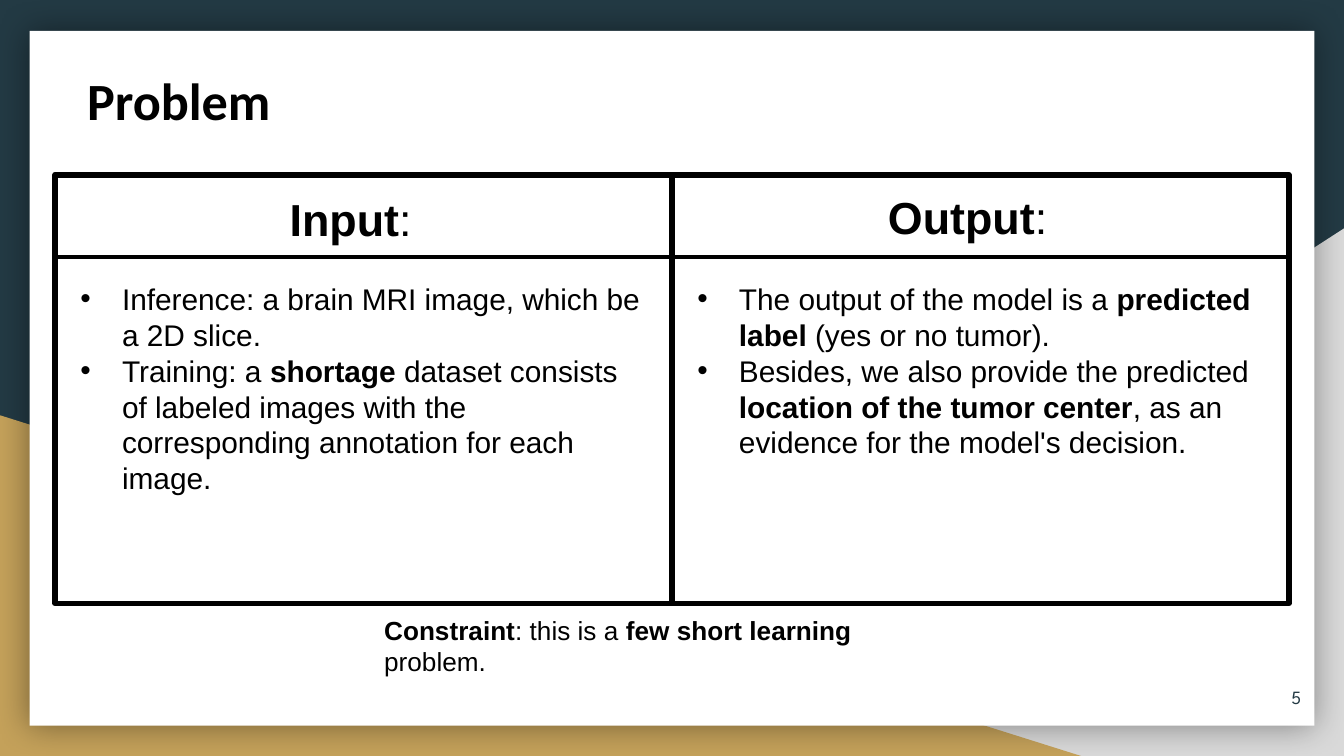
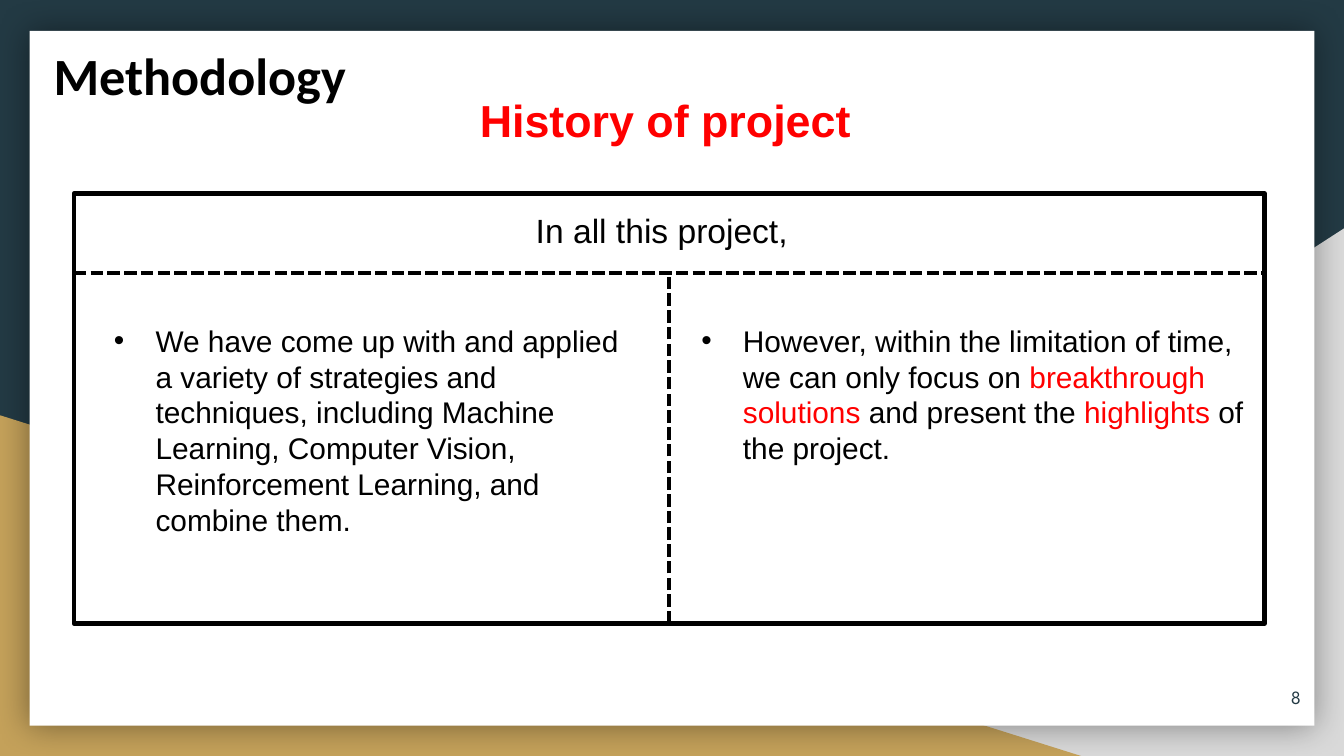
from dataclasses import dataclass

from lxml import etree
from pptx import Presentation
from pptx.dml.color import RGBColor
from pptx.enum.dml import MSO_LINE
from pptx.enum.shapes import MSO_CONNECTOR, MSO_SHAPE
from pptx.enum.text import MSO_ANCHOR, MSO_AUTO_SIZE, PP_ALIGN
from pptx.oxml.ns import qn
from pptx.util import Inches, Pt

RECT, TRI = MSO_SHAPE.RECTANGLE, MSO_SHAPE.RIGHT_TRIANGLE
LEFT, MID, RIGHT = PP_ALIGN.LEFT, PP_ALIGN.CENTER, PP_ALIGN.RIGHT
DASH = MSO_LINE.SQUARE_DOT
WIDE = Inches(10)
HIGH = WIDE * 9 // 16


@dataclass(frozen=True)
class Theme:
    navy: str = "233A44"
    gold: str = "C4A15A"
    gray: str = "D9D9D9"
    white: str = "FFFFFF"
    black: str = "000000"
    red: str = "FF0000"
    body: str = "Arial"
    title: str = "Calibri"
    number: str = "League Spartan"
    title_pt: int = 28
    head_pt: int = 24
    lead_pt: int = 18
    body_pt: int = 16
    note_pt: int = 14
    num_pt: int = 10
    thick: float = 3
    thin: float = 2.25


T = Theme()

# Content: a paragraph is a list of runs; a run is text or (text, mark)
PROBLEM = {
    "title": "Problem",
    "number": "5",
    "cols": [
        {"head": [("Input", "bold"), ":"], "top": 1.38, "room": 1.72,
         "points": [
            ["Inference: a brain MRI image, which be a 2D slice."],
            ["Training: a ", ("shortage", "bold"),
             " dataset consists of labeled images with the "
             "corresponding annotation for each image."]]},
        {"head": [("Output", "bold"), ":"], "top": 1.36, "room": 1.45,
         "points": [
            ["The output of the model is a ", ("predicted label", "bold"),
             " (yes or no tumor)."],
            ["Besides, we also provide the predicted ",
             ("location of the tumor center", "bold"),
             ", as an evidence for the model's decision."]]},
    ],
    "note": [("Constraint", "bold"), ": this is a ",
             ("few short learning", "bold"), " problem."],
}
METHOD = {
    "title": "Methodology",
    "number": "8",
    "head": [("History of project", "bold")],
    "lead": ["In all this project,"],
    "cols": [
        (0.75, 4.03, 1.72,
         ["We have come up with and applied a variety of strategies and "
          "techniques, including Machine Learning, Computer Vision, "
          "Reinforcement Learning, and combine them."]),
        (5.12, 4.27, 1.18,
         ["However, within the limitation of time, we can only focus on ",
          ("breakthrough solutions", "red"), " and present the ",
          ("highlights", "red"), " of the project."]),
    ],
}


def rgb(code):
    return RGBColor.from_string(code)


def add_block(slide, kind, box, fill, line=None):
    shape = slide.shapes.add_shape(kind, *map(Inches, box))
    shape.shadow.inherit = False
    shape.fill.solid()
    shape.fill.fore_color.rgb = rgb(fill)
    if line:
        shape.line.color.rgb = rgb(T.black)
        shape.line.width = Pt(line)
    else:
        shape.line.fill.background()
    return shape


def add_rule(slide, start, end, dash=None):
    rule = slide.shapes.add_connector(
        MSO_CONNECTOR.STRAIGHT, *map(Inches, start + end))
    rule.line.color.rgb = rgb(T.black)
    rule.line.width = Pt(T.thin)
    if dash:
        rule.line.dash_style = dash
    etree.SubElement(rule.element.spPr, qn("a:effectLst"))
    return rule


def set_bullet(para):
    props = para._p.get_or_add_pPr()
    props.set("marL", str(Inches(0.31)))
    props.set("indent", str(Inches(-0.31)))
    tint = etree.SubElement(props, qn("a:buClr"))
    etree.SubElement(tint, qn("a:srgbClr"), val=T.black)
    etree.SubElement(props, qn("a:buFont"), typeface=T.body)
    etree.SubElement(props, qn("a:buChar"), char="•")


def add_text(slide, box, paras, size, face=T.body, color=T.black, align=LEFT,
             bullet=False, pad=0.05, tail=0, indent=0, grow=True):
    """Add a text box; tail is extra room at the right edge."""
    shape = slide.shapes.add_textbox(*map(Inches, box))
    frame = shape.text_frame
    frame.word_wrap = True
    frame.auto_size = (MSO_AUTO_SIZE.SHAPE_TO_FIT_TEXT if grow
                       else MSO_AUTO_SIZE.NONE)
    frame.margin_top = frame.margin_bottom = Inches(pad)
    frame.margin_left = Inches(0.1)
    frame.margin_right = Inches(0.1 + tail)
    for i, runs in enumerate(paras):
        para = frame.paragraphs[0] if i == 0 else frame.add_paragraph()
        para.alignment = align
        if bullet:
            set_bullet(para)
        elif indent:
            para._p.get_or_add_pPr().set("marL", str(Inches(indent)))
        para.font.size, para.font.name = Pt(size), face
        para.font.color.rgb = rgb(color)
        for item in runs:
            text, mark = (item, None) if isinstance(item, str) else item
            run = para.add_run()
            run.text = text
            if mark == "bold":
                run.font.bold = True
            elif mark == "red":
                run.font.color.rgb = rgb(T.red)
    return frame


def add_glow(shape):
    """Give the card a soft, even shadow."""
    fx = shape.element.spPr.find(qn("a:effectLst"))
    glow = etree.SubElement(fx, qn("a:outerShdw"), blurRad=str(Pt(18)),
                            dist="0", dir="0", algn="ctr", rotWithShape="0")
    tint = etree.SubElement(glow, qn("a:srgbClr"), val=T.black)
    etree.SubElement(tint, qn("a:alpha"), val="40000")


def add_base(deck, data, spot):
    """Start a slide with its backdrop, card, title and number."""
    slide = deck.slides.add_slide(deck.slide_layouts[6])
    slide.background.fill.solid()
    slide.background.fill.fore_color.rgb = rgb(T.navy)
    wedge = add_block(slide, TRI, (3.92, 1.7, 6.08, 3.93), T.gray)
    wedge.element.spPr.find(qn("a:xfrm")).set("flipH", "1")
    add_block(slide, TRI, (0, 3.09, 8.06, 2.54), T.gold)
    add_glow(add_block(slide, RECT, (0.22, 0.23, 9.56, 5.17), T.white))
    add_text(slide, spot + (3.35, 0.67), [[(data["title"], "bold")]],
             T.title_pt, T.title, pad=0.1, indent=0.14)
    num = add_text(slide, (9.18, 4.97, 0.6, 0.43), [[data["number"]]],
                   T.num_pt, T.number, T.navy, RIGHT, pad=0.1, grow=False)
    num.vertical_anchor = MSO_ANCHOR.MIDDLE
    return slide


def add_problem(deck):
    slide = add_base(deck, PROBLEM, (0.41, 0.41))
    left, top, wide, high = 0.41, 1.3, 4.59, 3.19
    # Two equal panels
    for i, col in enumerate(PROBLEM["cols"]):
        x = left + i * wide
        add_block(slide, RECT, (x, top, wide, high), T.white, T.thick)
        add_text(slide, (x, col["top"], wide, 0.5), [col["head"]],
                 T.head_pt, align=MID, tail=0.19)
        add_text(slide, (x + 0.09, 2.04, wide - 0.18, col["room"]),
                 col["points"], T.body_pt, bullet=True)
    # Rule under the heads, note below the panels
    add_rule(slide, (left, 1.91), (left + 2 * wide, 1.91))
    add_text(slide, (2.76, 4.52, 4.49, 0.34), [PROBLEM["note"]], T.note_pt,
             tail=0.09)


def add_method(deck):
    slide = add_base(deck, METHOD, (0.16, 0.22))
    left, top, wide, high = 0.55, 1.44, 8.86, 3.2
    split, mid = 2.03, left + wide / 2
    # Frame with dashed dividers
    frame = add_block(slide, RECT, (left, top, wide, high), T.white, T.thin)
    stem = add_rule(slide, (mid, top + high), (mid, split), DASH)
    stem.begin_connect(frame, 2)
    add_rule(slide, (left, split), (left + wide, split), DASH)
    # Heading, lead line and columns
    add_text(slide, (2.97, 0.64, 4.05, 0.5), [METHOD["head"]], T.head_pt,
             color=T.red, align=MID, tail=0.09)
    add_text(slide, (0.57, 1.51, 8.85, 0.4), [METHOD["lead"]], T.lead_pt,
             align=MID, tail=0.14)
    for x, wide, high, runs in METHOD["cols"]:
        add_text(slide, (x, 2.35, wide, high), [runs], T.body_pt, bullet=True)


def main():
    deck = Presentation()
    deck.slide_width, deck.slide_height = WIDE, HIGH
    add_problem(deck)
    add_method(deck)
    deck.save("out.pptx")


if __name__ == "__main__":
    main()
